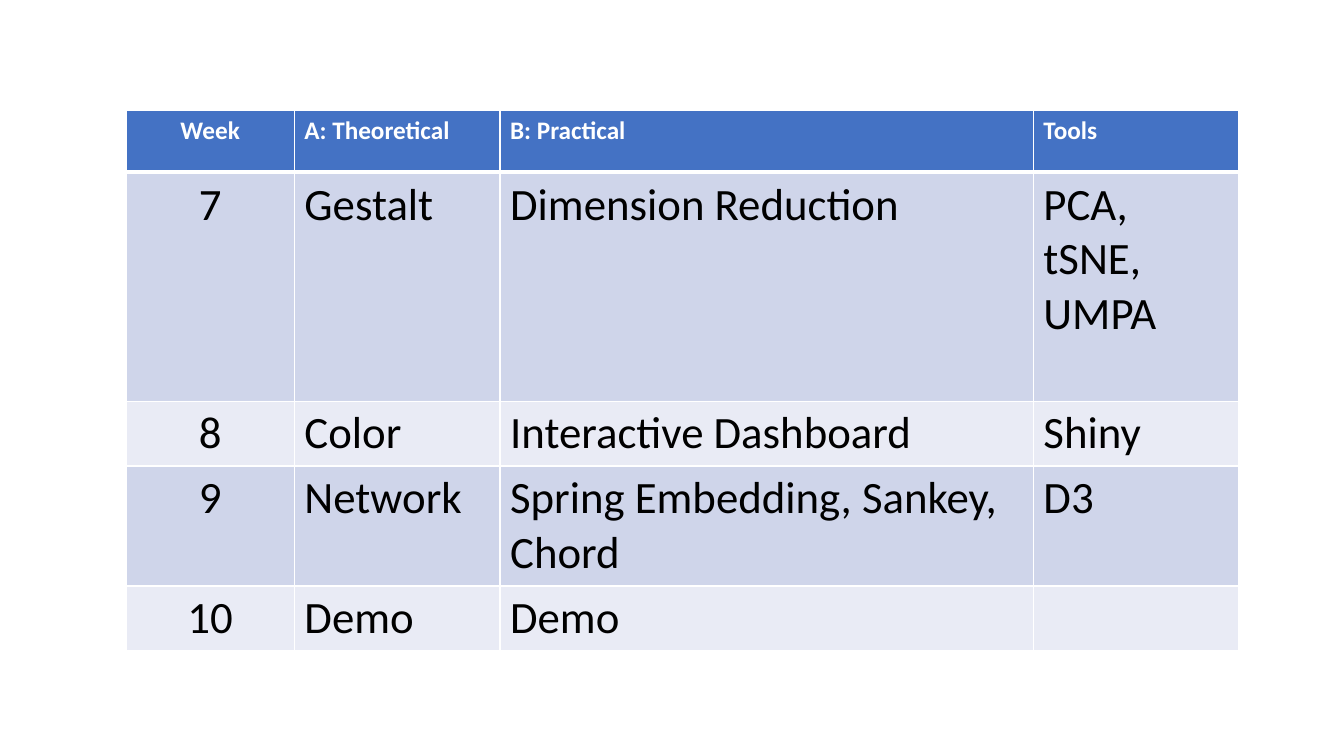
from dataclasses import dataclass

from lxml.etree import SubElement
from pptx import Presentation
from pptx.dml.color import RGBColor
from pptx.enum.text import PP_ALIGN as Align
from pptx.oxml.ns import qn
from pptx.util import Inches, Pt


@dataclass(frozen=True)
class Theme:
    font: str = "Calibri"
    header_size: int = 18
    body_size: int = 32
    header_fill: str = "4472C4"
    band_fills: tuple = ("E9EBF5", "CFD5EA")
    header_text: str = "FFFFFF"
    body_text: str = "000000"
    border: str = "FFFFFF"


THEME = Theme()
COLUMN_WIDTHS = (1.67, 2.04, 5.29, 2.04)
ROW_HEIGHTS = (0.61, 2.27, 0.64, 1.19, 0.64)
SCHEDULE = (
    ("Week", "A: Theoretical", "B: Practical", "Tools"),
    ("7", "Gestalt", "Dimension Reduction", "PCA, tSNE, UMPA"),
    ("8", "Color", "Interactive Dashboard", "Shiny"),
    ("9", "Network", "Spring Embedding, Sankey, Chord", "D3"),
    ("10", "Demo", "Demo", ""),
)


def write_text(frame, text, *, size, color, bold=False, align=Align.LEFT):
    paragraph = frame.paragraphs[0]
    paragraph.alignment = align
    if not text:
        return
    run = paragraph.add_run()
    run.text = text
    run.font.name = THEME.font
    run.font.size = Pt(size)
    run.font.bold = bold
    run.font.color.rgb = RGBColor.from_string(color)


def set_borders(cell, top, bottom):
    properties = cell._tc.get_or_add_tcPr()
    for side, width in (("L", 1), ("R", 1), ("T", top), ("B", bottom)):
        line = SubElement(properties, qn(f"a:ln{side}"), w=str(Pt(width)))
        fill = SubElement(line, qn("a:solidFill"))
        SubElement(fill, qn("a:srgbClr"), val=THEME.border)


def fill_cell(cell, color):
    cell.fill.solid()
    cell.fill.fore_color.rgb = RGBColor.from_string(color)


def format_cell(cell, text, week, column):
    is_header = week == 0
    set_borders(cell, top=3 if week == 1 else 1, bottom=3 if is_header else 1)
    fill_cell(cell, THEME.header_fill if is_header else THEME.band_fills[week % 2])
    write_text(
        cell.text_frame,
        text,
        size=THEME.header_size if is_header else THEME.body_size,
        color=THEME.header_text if is_header else THEME.body_text,
        bold=is_header,
        align=Align.CENTER if column == 0 else Align.LEFT,
    )


def add_schedule(slide):
    schedule = slide.shapes.add_table(
        len(ROW_HEIGHTS), len(COLUMN_WIDTHS), Inches(1.25), Inches(1.1),
        Inches(sum(COLUMN_WIDTHS)), Inches(sum(ROW_HEIGHTS)),
    ).table
    for column, width in zip(schedule.columns, COLUMN_WIDTHS):
        column.width = Inches(width)
    for row, height in zip(schedule.rows, ROW_HEIGHTS):
        row.height = Inches(height)
    for week, entries in enumerate(SCHEDULE):
        for column, text in enumerate(entries):
            format_cell(schedule.cell(week, column), text, week, column)


def main():
    deck = Presentation()
    deck.slide_width = Inches(13.33)
    deck.slide_height = Inches(7.5)
    slide = deck.slides.add_slide(deck.slide_layouts[6])
    add_schedule(slide)
    deck.save("out.pptx")


if __name__ == "__main__":
    main()
